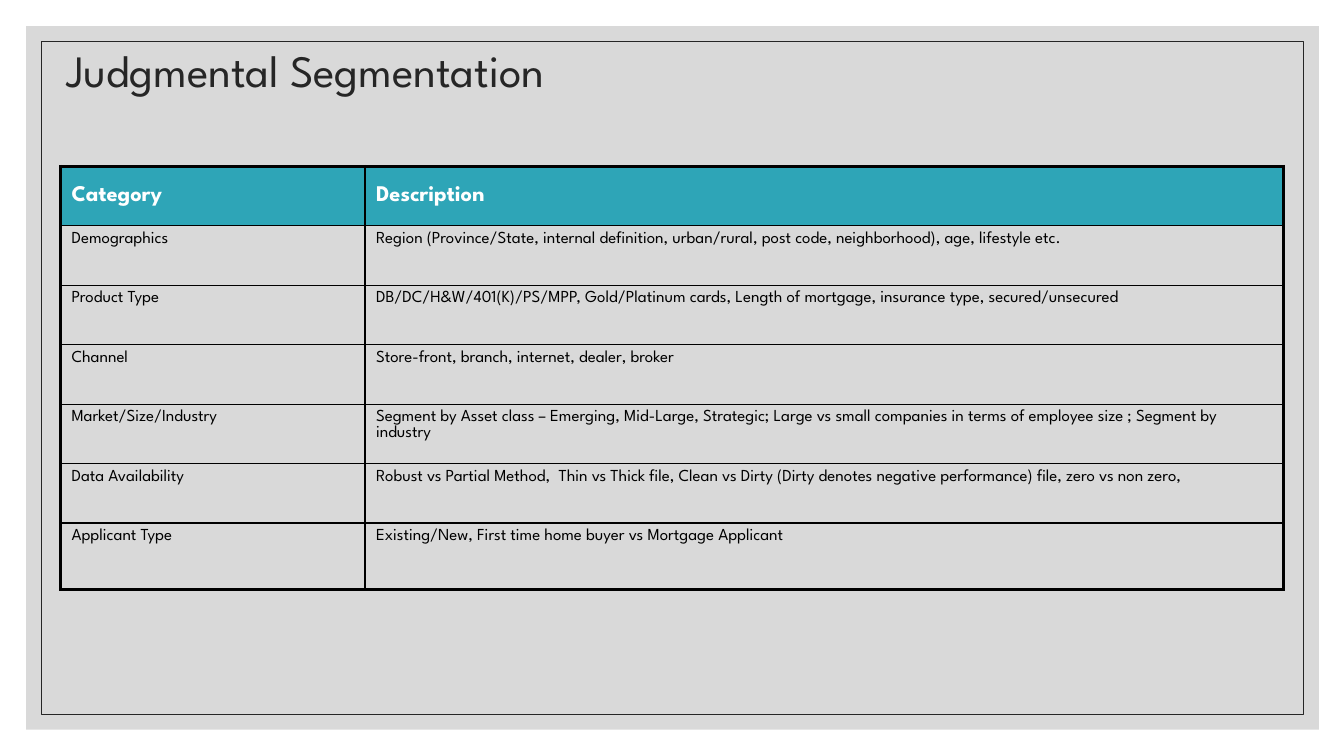
from lxml.etree import SubElement
from pptx import Presentation
from pptx.dml.color import RGBColor
from pptx.enum.shapes import MSO_SHAPE
from pptx.enum.text import MSO_ANCHOR, PP_ALIGN
from pptx.oxml.ns import qn
from pptx.util import Inches, Pt

TITLE = "Judgmental Segmentation"
ROWS = [
    ("Category", "Description"),
    ("Demographics",
     "Region (Province/State, internal definition, urban/rural, post code, "
     "neighborhood), age, lifestyle etc."),
    ("Product Type",
     "DB/DC/H&W/401(K)/PS/MPP, Gold/Platinum cards, Length of mortgage, "
     "insurance type, secured/unsecured"),
    ("Channel", "Store-front, branch, internet, dealer, broker"),
    ("Market/Size/Industry",
     "Segment by Asset class – Emerging, Mid-Large, Strategic; Large vs small "
     "companies in terms of employee size ; Segment by industry"),
    ("Data Availability",
     "Robust vs Partial Method,  Thin vs Thick file, Clean vs Dirty (Dirty "
     "denotes negative performance) file, zero vs non zero,"),
    ("Applicant Type", "Existing/New, First time home buyer vs Mortgage Applicant"),
]
COLUMN_WIDTHS = (3.02, 9.11)
ROW_HEIGHT, LAST_ROW_HEIGHT = 0.59, 0.66
OUTER_BORDER, INNER_BORDER = 2.25, 1

FONT = "League Spartan"
BLACK = RGBColor(0x00, 0x00, 0x00)
WHITE = RGBColor(0xFF, 0xFF, 0xFF)
CHARCOAL = RGBColor(0x26, 0x26, 0x26)
PANEL_GREY = RGBColor(0xD9, 0xD9, 0xD9)
TEAL = RGBColor(0x2E, 0xA5, 0xB7)


def add_text(paragraph, text, size, color, bold=False):
    run = paragraph.add_run()
    run.text = text
    run.font.name = FONT
    run.font.size = Pt(size)
    run.font.bold = bold
    run.font.color.rgb = color


def add_panel(slide, left, top, width, height):
    panel = slide.shapes.add_shape(
        MSO_SHAPE.RECTANGLE, Inches(left), Inches(top), Inches(width), Inches(height))
    panel.shadow.inherit = False
    panel.fill.background()
    panel.line.fill.background()
    return panel


def set_borders(cell, widths):
    """Draw black cell borders; widths are points for left, right, top, bottom."""
    properties = cell._tc.get_or_add_tcPr()
    for side, width in zip("LRTB", widths):
        line = SubElement(properties, qn(f"a:ln{side}"), w=str(Pt(width)))
        fill = SubElement(line, qn("a:solidFill"))
        SubElement(fill, qn("a:srgbClr"), val=str(BLACK))


def add_title(slide):
    title = slide.shapes.title
    title.element.getparent().append(title.element)  # in front of the panels
    title.left, title.top = Inches(0.56), Inches(0.42)
    title.width, title.height = Inches(11), Inches(0.61)
    frame = title.text_frame
    frame.vertical_anchor = MSO_ANCHOR.MIDDLE
    paragraph = frame.paragraphs[0]
    paragraph.alignment = PP_ALIGN.LEFT
    paragraph.line_spacing = 0.9
    add_text(paragraph, TITLE, 32, CHARCOAL)


def add_segment_table(slide):
    last_row, last_column = len(ROWS) - 1, len(COLUMN_WIDTHS) - 1
    height = ROW_HEIGHT * last_row + LAST_ROW_HEIGHT
    table = slide.shapes.add_table(
        len(ROWS), len(COLUMN_WIDTHS), Inches(0.6), Inches(1.65),
        Inches(sum(COLUMN_WIDTHS)), Inches(height)).table
    table.horz_banding = False
    for column, width in zip(table.columns, COLUMN_WIDTHS):
        column.width = Inches(width)
    for r, texts in enumerate(ROWS):
        table.rows[r].height = Inches(LAST_ROW_HEIGHT if r == last_row else ROW_HEIGHT)
        for c, text in enumerate(texts):
            cell = table.cell(r, c)
            cell.margin_left = cell.margin_right = Inches(0.11)
            cell.margin_top = cell.margin_bottom = Inches(0.06)
            on_edge = (c == 0, c == last_column, r == 0, r == last_row)
            set_borders(cell, [OUTER_BORDER if edge else INNER_BORDER for edge in on_edge])
            paragraph = cell.text_frame.paragraphs[0]
            if r == 0:
                cell.vertical_anchor = MSO_ANCHOR.MIDDLE
                cell.fill.solid()
                cell.fill.fore_color.rgb = TEAL
                add_text(paragraph, text, 16, WHITE, bold=True)
            else:
                cell.vertical_anchor = MSO_ANCHOR.TOP
                cell.fill.background()
                add_text(paragraph, text, 12, BLACK)


def main():
    presentation = Presentation()
    presentation.slide_width, presentation.slide_height = Inches(13.33), Inches(7.5)
    slide = presentation.slides.add_slide(presentation.slide_layouts[5])

    background = add_panel(slide, 0.26, 0.26, 12.82, 6.98)
    background.fill.solid()
    background.fill.fore_color.rgb = PANEL_GREY
    frame = add_panel(slide, 0.41, 0.41, 12.52, 6.68)
    frame.line.color.rgb = CHARCOAL
    frame.line.width = Pt(0.5)

    add_title(slide)
    add_segment_table(slide)
    presentation.save("out.pptx")


if __name__ == "__main__":
    main()
